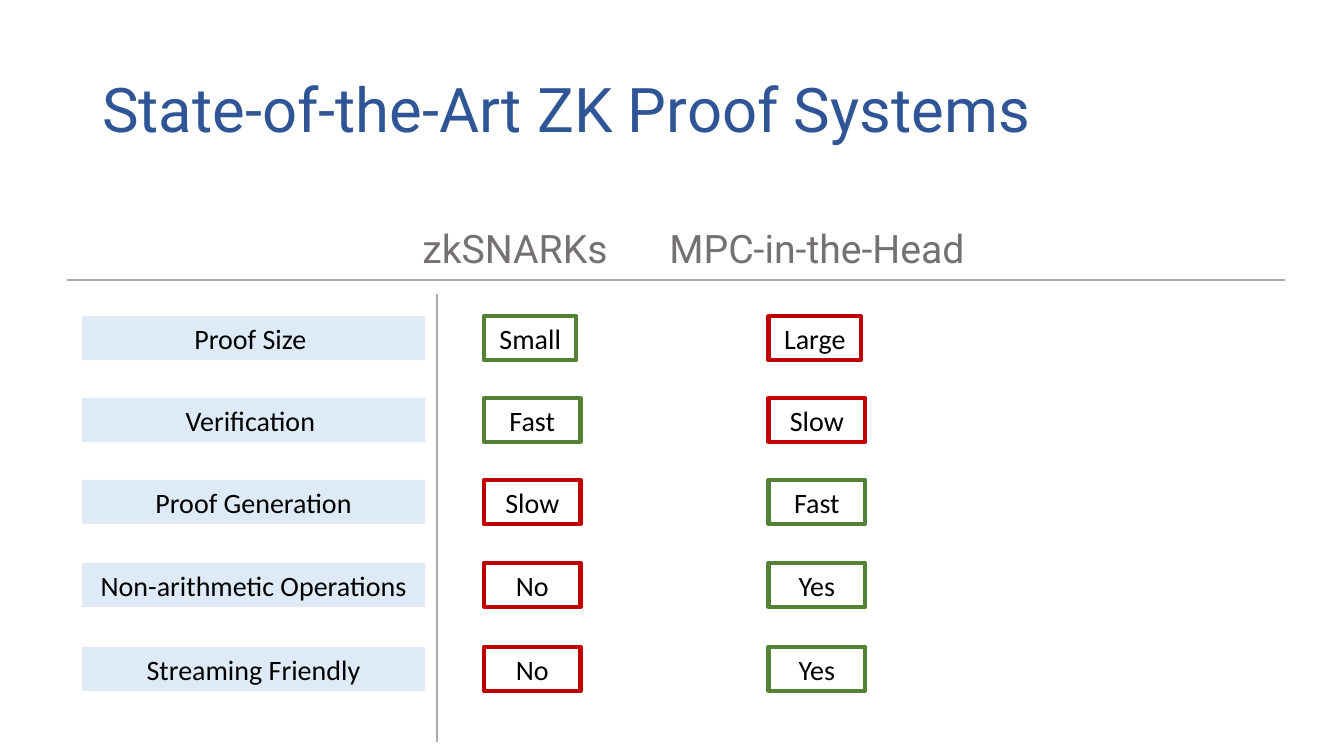
import pptx
import pptx.dml.color
import pptx.enum.shapes
import pptx.enum.text
import pptx.oxml.ns
import pptx.util
from lxml import etree

PX = 9525
ALIGN = pptx.enum.text.PP_ALIGN
ANCHOR = pptx.enum.text.MSO_ANCHOR
GOOD, BAD = "548235", "C00000"
ROW_HEIGHT = 42
ROWS = [
    (0, "Proof Size ", ("Small", GOOD), ("Large", BAD), 88),
    (78, "Verification ", ("Fast", GOOD), ("Slow", BAD), 92),
    (156, "Proof Generation", ("Slow", BAD), ("Fast", GOOD), 92),
    (235, "Non-arithmetic Operations", ("No", BAD), ("Yes", GOOD), 92),
    (315, "Streaming Friendly", ("No", BAD), ("Yes", GOOD), 92),
]


def px(*lengths):
    """Turn px lengths into EMU."""
    return [pptx.util.Emu(length * PX) for length in lengths]


def color(hex_string):
    """Return the colour of a hex string."""
    return pptx.dml.color.RGBColor.from_string(hex_string)


def write(holder, text, size=20, font="Calibri", ink="000000",
          align=ALIGN.CENTER, anchor=ANCHOR.MIDDLE, spacing=None):
    """Put one formatted paragraph into a shape or text box."""
    frame = holder.text_frame
    frame.word_wrap = True
    frame.vertical_anchor = anchor
    paragraph = frame.paragraphs[0]
    paragraph.alignment = align
    paragraph.line_spacing = spacing
    run = paragraph.add_run()
    run.text = text
    run.font.size = pptx.util.Pt(size)
    run.font.name = font
    run.font.color.rgb = color(ink)


def add_heading(slide, box, text, **format):
    """Place a Roboto heading in the given box."""
    heading = slide.shapes.add_textbox(*px(*box))
    write(heading, text, font="Roboto", spacing=0.9, **format)


def add_cell(slide, box, text, fill=None, outline=None):
    """Place a filled or outlined rectangle with centred text."""
    cell = slide.shapes.add_shape(
        pptx.enum.shapes.MSO_SHAPE.RECTANGLE, *px(*box))
    cell.shadow.inherit = False
    if fill:
        cell.fill.solid()
        cell.fill.fore_color.rgb = color(fill)
    else:
        cell.fill.background()
    if outline:
        cell.line.color.rgb = color(outline)
        cell.line.width = pptx.util.Pt(3)
    else:
        cell.line.fill.background()
    write(cell, text)
    cell.text_frame.auto_size = pptx.enum.text.MSO_AUTO_SIZE.SHAPE_TO_FIT_TEXT


def add_rule(slide, *ends):
    """Draw a thin grey line between two points."""
    rule = slide.shapes.add_connector(
        pptx.enum.shapes.MSO_CONNECTOR.STRAIGHT, *px(*ends))
    rule.line.color.rgb = color("AFABAB")
    rule.line.width = pptx.util.Pt(1.5)
    properties = rule.element.find(pptx.oxml.ns.qn("p:spPr"))
    etree.SubElement(properties, pptx.oxml.ns.qn("a:effectLst"))


def add_column_heads(slide, left, top, width, height):
    """Place the system names above the horizontal rule."""
    for offset, head_width, system in [(235, 383, "zkSNARKs"),
                                       (477, 474, "MPC-in-the-Head")]:
        add_heading(slide, (left + offset, top, head_width, height), system,
                    size=28, ink="767171", anchor=ANCHOR.BOTTOM)
    rule_y = top + height + 3
    add_rule(slide, left, rule_y, left + width, rule_y)


def add_comparison(slide, left, top, height):
    """Place the property labels, the vertical rule and the verdicts."""
    add_rule(slide, left + 338, top, left + 338, top + height)
    for offset, label, snarks, mpc, width in ROWS:
        row_top = top + 21 + offset
        add_cell(slide, (left, row_top, 327, ROW_HEIGHT), label, fill="DEEBF7")
        for column, (verdict, rating) in zip((383, 654), (snarks, mpc)):
            add_cell(slide, (left + column, row_top, width, ROW_HEIGHT),
                     verdict, outline=rating)


def main():
    """Build the slide and save it."""
    deck = pptx.Presentation()
    deck.slide_width, deck.slide_height = px(1280, 720)
    slide = deck.slides.add_slide(deck.slide_layouts[6])
    add_heading(slide, (88, 38, 1104, 139), "State-of-the-Art ZK Proof Systems",
                size=44, ink="2F5597", align=ALIGN.LEFT)
    add_column_heads(slide, 64, 178, 1160, 86)
    add_comparison(slide, 78, 280, 427)
    deck.save("out.pptx")


if __name__ == "__main__":
    main()
